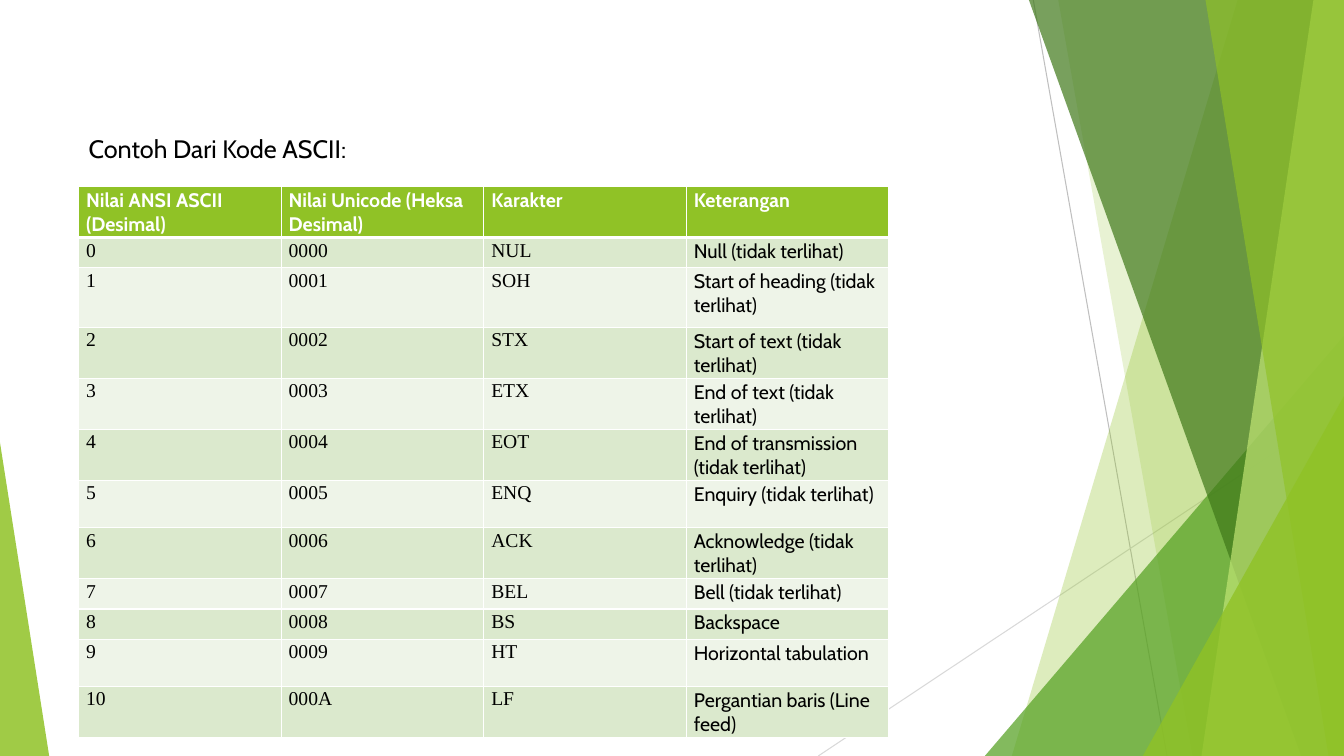
from collections import namedtuple

from lxml import etree
from pptx import Presentation
from pptx import util as u
from pptx.dml.color import RGBColor
from pptx.enum import shapes, text
from pptx.oxml import ns

Box = namedtuple("Box", "left top width height")

WHITE = RGBColor(0xFF, 0xFF, 0xFF)
BLACK = RGBColor(0x00, 0x00, 0x00)
LIME = RGBColor(0x90, 0xC2, 0x26)
PALE_LIME = RGBColor(0xC0, 0xE4, 0x74)
GREEN = RGBColor(0x54, 0xA0, 0x21)
DARK_GREEN = RGBColor(0x3F, 0x78, 0x19)
BAND_DARK = RGBColor(0xDB, 0xE9, 0xCD)
BAND_LIGHT = RGBColor(0xEE, 0xF4, 0xE8)
GREY = RGBColor(0xBF, 0xBF, 0xBF)
LIGHT_GREY = RGBColor(0xD9, 0xD9, 0xD9)

SLIDE = Box(0, 0, 33.87, 19.05)
TITLE = Box(1.98, 3.23, 7.29, 1.02)
TABLE = Box(1.98, 4.7, 20.42, 13.1)
RIGHT_FACETS = Box(20.62, 0, 13.25, 19.05)
LEFT_FACET = Box(0, 11.15, 1.24, 7.9)

HEADERS = ["Nilai ANSI ASCII (Desimal)", "Nilai Unicode (Heksa Desimal)", "Karakter", "Keterangan"]
# Character, description, row height
CODES = [
    ("NUL", "Null (tidak terlihat)", 0.76),
    ("SOH", "Start of heading (tidak terlihat)", 1.5),
    ("STX", "Start of text (tidak terlihat)", 1.19),
    ("ETX", "End of text (tidak terlihat)", 1.19),
    ("EOT", "End of transmission (tidak terlihat)", 1.19),
    ("ENQ", "Enquiry (tidak terlihat)", 1.19),
    ("ACK", "Acknowledge (tidak terlihat)", 1.19),
    ("BEL", "Bell (tidak terlihat)", 0.76),
    ("BS", "Backspace", 0.76),
    ("HT", "Horizontal tabulation", 1.19),
    ("LF", "Pergantian baris (Line feed)", 1.19),
]
HEADER_HEIGHT = 0.97

HEADER_FORMAT = {"name": "Cabin", "size": u.Pt(14), "bold": True}
CODE_FORMAT = {"name": "Times New Roman", "size": u.Pt(14), "bold": False}
DESCRIPTION_FORMAT = {"name": "Cabin", "size": u.Pt(14), "bold": False}
TITLE_FORMAT = {"name": "Cabin", "size": u.Pt(18), "bold": False}


def set_values(target, values):
    for name, value in values.items():
        setattr(target, name, value)


def style_font(paragraph, values, color):
    set_values(paragraph.font, values)
    paragraph.font.color.rgb = color


def paint(shape, color, opacity):
    shape.shadow.inherit = False
    shape.line.fill.background()
    shape.fill.solid()
    shape.fill.fore_color.rgb = color
    color_element = shape.fill._xPr.find(".//" + ns.qn("a:srgbClr"))
    etree.SubElement(color_element, ns.qn("a:alpha"), val=str(opacity * 1000))


def add_triangle(slide, box, apex, color, opacity):
    triangle = slide.shapes.add_shape(
        shapes.MSO_SHAPE.ISOSCELES_TRIANGLE, *(u.Cm(length) for length in box))
    triangle.adjustments[0] = apex
    paint(triangle, color, opacity)


def add_thin_line(slide, start, end, color):
    line = slide.shapes.add_connector(
        shapes.MSO_CONNECTOR.STRAIGHT, *(u.Cm(length) for length in start + end))
    line.line.color.rgb = color
    line.line.width = u.Pt(0.75)
    etree.SubElement(line._element.spPr, ns.qn("a:effectLst"))


def add_right_facets(slide, box):
    right, bottom = box.left + box.width, box.top + box.height

    def add_panel(top_reach, bottom_reach, color, opacity):
        """Panel along the right edge; reaches are measured leftwards from it."""
        corners = [(right - top_reach, box.top), (right, box.top),
                   (right, bottom), (right - bottom_reach, bottom)]
        points = [(u.Cm(x), u.Cm(y)) for x, y in corners]
        builder = slide.shapes.build_freeform(*points[0])
        builder.add_line_segments(points[1:], close=True)
        paint(builder.convert_to_shape(), color, opacity)

    def add_corner(width, height, color, opacity):
        corner = Box(right - width, bottom - height, width, height)
        add_triangle(slide, corner, 1, color, opacity)

    # Thin crossing lines
    add_thin_line(slide, (box.left + 5.42, box.top), (box.left + 8.79, bottom), GREY)
    add_thin_line(slide, (right, box.top + 10.24), (box.left, bottom), LIGHT_GREY)

    # Overlapping translucent facets, back to front
    add_panel(2.68, 8.37, LIME, 30)
    add_panel(7.2, 3.82, LIME, 20)
    add_corner(9.05, 10.59, GREEN, 72)
    add_panel(7.94, 1.08, DARK_GREEN, 70)
    add_panel(0.77, 3.59, PALE_LIME, 70)
    add_panel(3.49, 0.39, LIME, 65)
    add_corner(5.07, 9.07, LIME, 80)


def add_title(slide, box):
    title = slide.shapes.title
    set_values(title, {name: u.Cm(value) for name, value in box._asdict().items()})
    frame = title.text_frame
    frame.text = "Contoh Dari Kode ASCII:"
    set_values(frame, {"word_wrap": False, "vertical_anchor": text.MSO_ANCHOR.TOP,
                       "auto_size": text.MSO_AUTO_SIZE.SHAPE_TO_FIT_TEXT})
    paragraph = frame.paragraphs[0]
    paragraph.alignment = text.PP_ALIGN.LEFT
    style_font(paragraph, TITLE_FORMAT, BLACK)


def add_borders(cell, widths):
    properties = cell._tc.get_or_add_tcPr()
    for side, width in widths.items():
        border = etree.SubElement(properties, ns.qn("a:ln" + side), w=str(u.Pt(width)))
        fill = etree.SubElement(border, ns.qn("a:solidFill"))
        etree.SubElement(fill, ns.qn("a:srgbClr"), val=str(WHITE))


def fill_cell(cell, content, row, column):
    is_header = row == 0
    add_borders(cell, {"L": 1, "R": 1, "T": 3 if row == 1 else 1, "B": 3 if is_header else 1})
    cell.fill.solid()
    cell.fill.fore_color.rgb = LIME if is_header else (BAND_LIGHT, BAND_DARK)[row % 2]
    set_values(cell, {"margin_left": u.Cm(0.19), "margin_right": u.Cm(0.19),
                      "margin_top": u.Cm(0.05), "margin_bottom": u.Cm(0.05)})
    cell.text = content
    paragraph = cell.text_frame.paragraphs[0]
    if is_header:
        style_font(paragraph, HEADER_FORMAT, WHITE)
    elif column == len(HEADERS) - 1:
        style_font(paragraph, DESCRIPTION_FORMAT, BLACK)
    else:
        paragraph.alignment = text.PP_ALIGN.JUSTIFY
        style_font(paragraph, CODE_FORMAT, BLACK)


def add_code_table(slide, box):
    rows = [HEADERS] + [(str(number), f"{number:04X}", character, description)
                        for number, (character, description, _) in enumerate(CODES)]
    heights = [HEADER_HEIGHT] + [height for _, _, height in CODES]
    table = slide.shapes.add_table(
        len(rows), len(HEADERS), *(u.Cm(length) for length in box)).table
    for row, (contents, height) in enumerate(zip(rows, heights)):
        table.rows[row].height = u.Cm(height)
        for column, content in enumerate(contents):
            fill_cell(table.cell(row, column), content, row, column)


def main():
    presentation = Presentation()
    presentation.slide_width = u.Cm(SLIDE.width)
    presentation.slide_height = u.Cm(SLIDE.height)
    slide = presentation.slides.add_slide(presentation.slide_layouts[5])

    # Decoration on both edges
    add_right_facets(slide, RIGHT_FACETS)
    add_triangle(slide, LEFT_FACET, 0, LIME, 85)

    # Heading and code table
    add_title(slide, TITLE)
    add_code_table(slide, TABLE)
    presentation.save("out.pptx")


if __name__ == "__main__":
    main()
